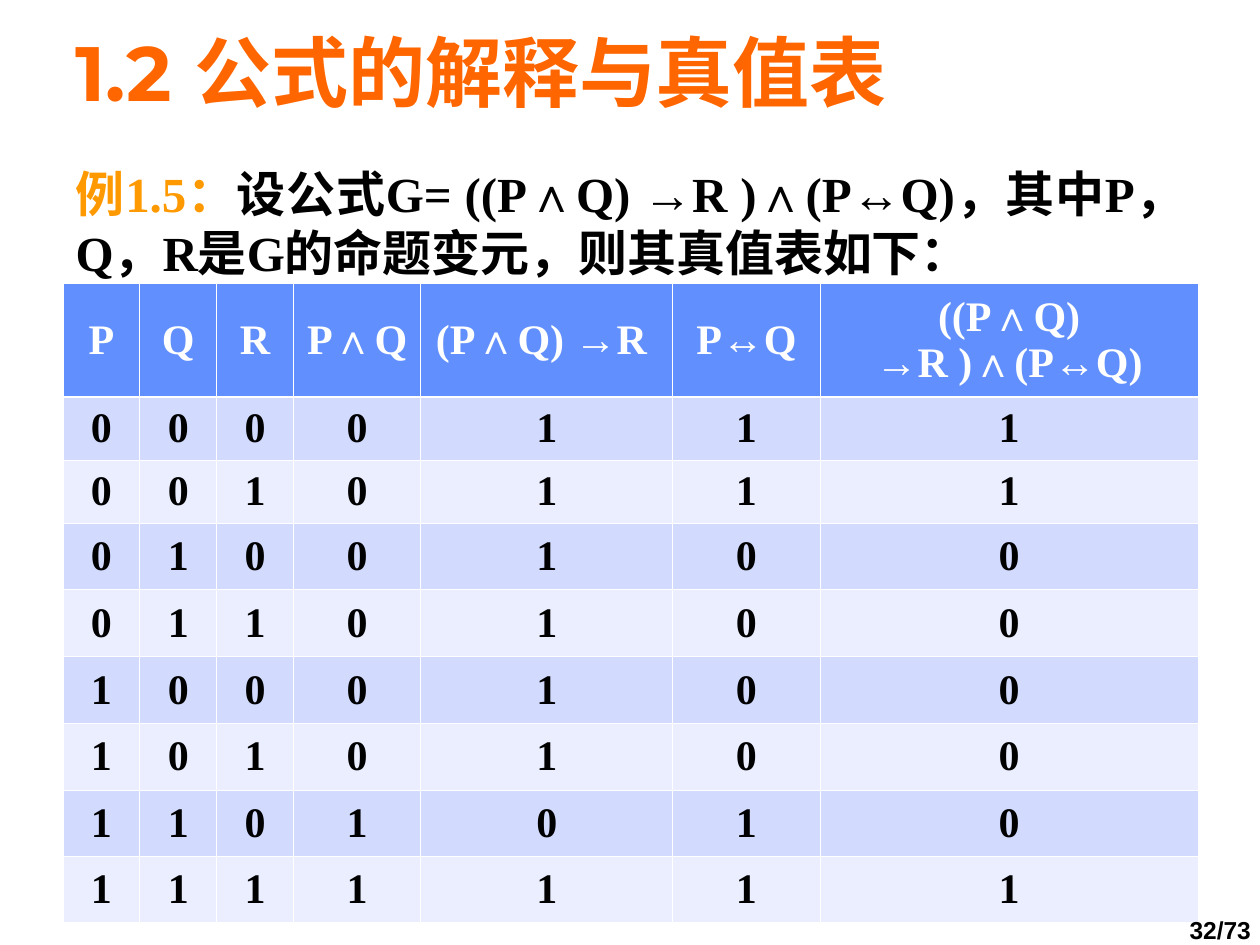
from lxml import etree
from pptx import Presentation
from pptx import util as u
from pptx.dml.color import RGBColor
from pptx.enum import text as t
from pptx.oxml import ns

ORANGE = RGBColor(0xFF, 0x66, 0x00)
AMBER = RGBColor(0xFF, 0x99, 0x00)
BLACK = RGBColor(0x00, 0x00, 0x00)
WHITE = RGBColor(0xFF, 0xFF, 0xFF)
HEADER_BLUE = RGBColor(0x61, 0x8F, 0xFD)
BANDS = [RGBColor(0xD2, 0xDB, 0xFE), RGBColor(0xEA, 0xEE, 0xFF)]
SERIF = "Times New Roman"

TITLE = "1.2 公式的解释与真值表"
EXAMPLE_LABEL = "例1.5："
EXAMPLE = "设公式G= ((P∧Q) →R )∧(P↔Q)，其中P，Q，R是G的命题变元，则其真值表如下："
PAGE = "32/73"
HEADERS = ["P", "Q", "R", "P∧Q", "(P∧Q) →R ", "P↔Q", "((P∧Q) →R )∧(P↔Q)"]
TRUTH_ROWS = ["0000111", "0010111", "0100100", "0110100",
              "1000100", "1010100", "1101010", "1111111"]
COLUMN_WIDTHS = [0.61, 0.61, 0.61, 1.01, 2, 1.17, 3]
ROW_HEIGHTS = [0.9, 0.5, 0.5] + [0.53] * 5 + [0.52]
THIN, THICK = 0.45, 1.47


def add_text(paragraph, content, size=24, font=SERIF, color=BLACK,
             align=t.PP_ALIGN.CENTER, line_spacing=1.0):
    paragraph.alignment = align
    paragraph.line_spacing = line_spacing
    paragraph.space_before = u.Pt(0)
    run = paragraph.add_run()
    run.text = content
    run.font.size = u.Pt(size)
    run.font.name = font
    run.font.bold = True
    run.font.color.rgb = color


def place(shape, left, top, width, height, anchor):
    shape.left, shape.top = u.Inches(left), u.Inches(top)
    shape.width, shape.height = u.Inches(width), u.Inches(height)
    frame = shape.text_frame
    frame.auto_size = t.MSO_AUTO_SIZE.NONE
    frame.vertical_anchor = anchor
    return frame.paragraphs[0]


def set_borders(cell, **widths):
    properties = cell._tc.get_or_add_tcPr()
    for position, (side, width) in enumerate(widths.items()):
        line = etree.Element(ns.qn(f"a:ln{side}"), w=str(u.Pt(width)))
        fill = etree.SubElement(line, ns.qn("a:solidFill"))
        etree.SubElement(fill, ns.qn("a:srgbClr"), val=str(WHITE))
        properties.insert(position, line)


def add_truth_table(slide):
    rows = [HEADERS] + TRUTH_ROWS
    table = slide.shapes.add_table(
        len(rows), len(HEADERS), u.Inches(0.5), u.Inches(2.25),
        u.Inches(sum(COLUMN_WIDTHS)), u.Inches(sum(ROW_HEIGHTS))).table
    for column, width in zip(table.columns, COLUMN_WIDTHS):
        column.width = u.Inches(width)
    for r, (values, height) in enumerate(zip(rows, ROW_HEIGHTS)):
        table.rows[r].height = u.Inches(height)
        for c, value in enumerate(values):
            cell = table.cell(r, c)
            cell.vertical_anchor = t.MSO_ANCHOR.MIDDLE
            cell.fill.solid()
            cell.fill.fore_color.rgb = BANDS[(r - 1) % 2] if r else HEADER_BLUE
            set_borders(cell, L=THIN, R=THIN, T=THICK if r == 1 else THIN,
                        B=THIN if r else THICK)
            add_text(cell.text_frame.paragraphs[0], value,
                     color=BLACK if r else WHITE)


def main():
    presentation = Presentation()
    presentation.slide_width = u.Inches(10)
    presentation.slide_height = u.Inches(7.5)
    slide = presentation.slides.add_slide(presentation.slide_layouts[1])

    title = place(slide.shapes.title, 0.5, 0.25, 9, 0.7, t.MSO_ANCHOR.MIDDLE)
    add_text(title, TITLE, size=44, font="Montserrat", color=ORANGE,
             align=t.PP_ALIGN.LEFT, line_spacing=0.93)

    body = place(slide.placeholders[1], 0.25, 1.25, 9.25, 1.17, t.MSO_ANCHOR.TOP)
    properties = body._p.get_or_add_pPr()
    properties.set("marL", str(u.Inches(0.25)))
    properties.set("indent", "0")
    etree.SubElement(properties, ns.qn("a:buNone"))
    for content, color in [(EXAMPLE_LABEL, AMBER), (EXAMPLE, BLACK)]:
        add_text(body, content, size=28, color=color, align=t.PP_ALIGN.JUSTIFY)

    add_truth_table(slide)

    page_box = slide.shapes.add_textbox(0, 0, 0, 0)
    page = place(page_box, 8.98, 7.25, 1.41, 0.3, t.MSO_ANCHOR.MIDDLE)
    page_box.text_frame.word_wrap = False
    add_text(page, PAGE, size=14, font="Arial", line_spacing=0.85)

    presentation.save("out.pptx")


if __name__ == "__main__":
    main()
